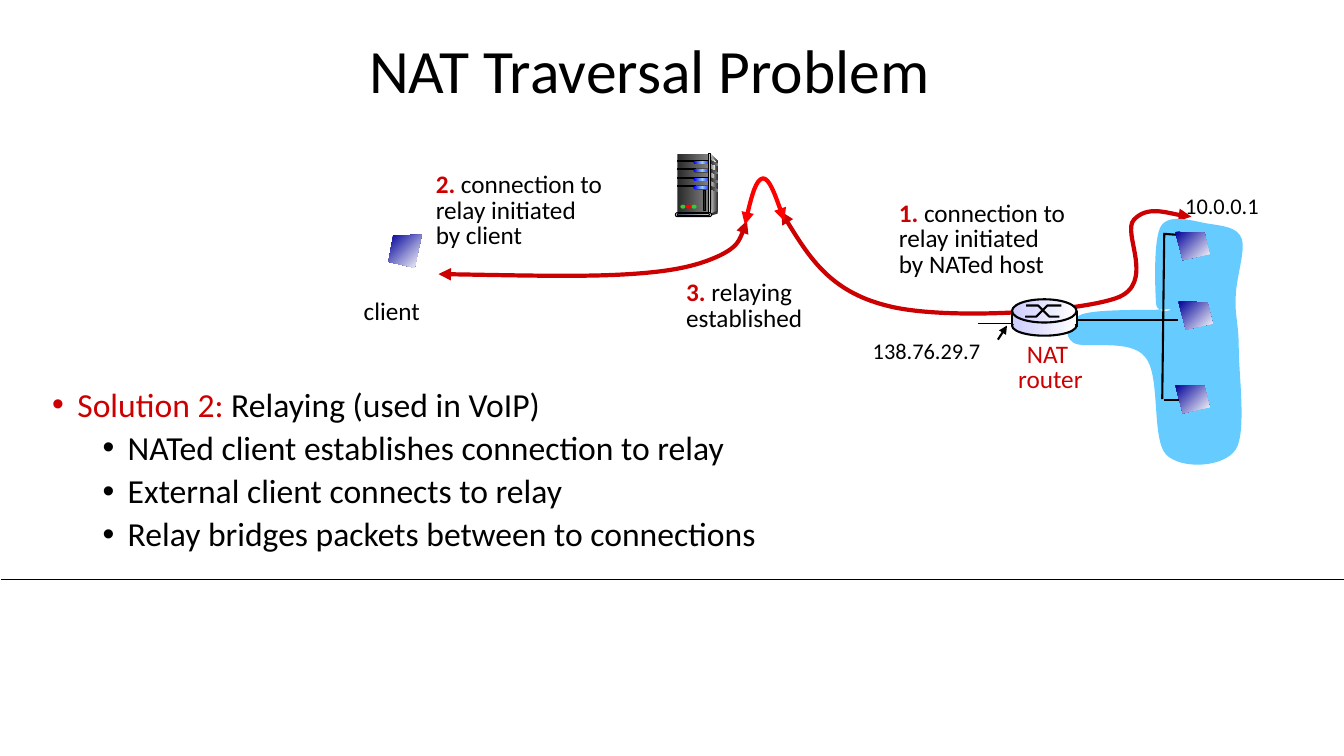
"""Builds the NAT traversal slide: relaying between a client and a NATed host."""
from copy import deepcopy
from dataclasses import dataclass

from lxml.etree import SubElement
from pptx import Presentation
from pptx.dml.color import RGBColor
from pptx.enum.shapes import MSO_CONNECTOR, MSO_SHAPE
from pptx.enum.text import MSO_ANCHOR, MSO_AUTO_SIZE, PP_ALIGN
from pptx.oxml.ns import qn
from pptx.util import Pt

BLACK, WHITE, CRIMSON, RED, GREEN, SKY, LILAC, NAVY = map(
    RGBColor.from_string, "000000 FFFFFF CC0000 FF0000 33CC33 66CCFF CCCCFF 000099".split())
BLUE, PALE_BLUE, COAL, DARK, GREY, SILVER, MIST, SLATE, ASH = map(
    RGBColor.from_string, "0000FF 99CCFF 292929 333333 808080 DDDDDD F8F8F8 44546A E7E6E6".split())
OVAL, PILL = MSO_SHAPE.OVAL, MSO_SHAPE.ROUNDED_RECTANGLE

Point = tuple[float, float]
Box = tuple[float, float, float, float]
Line = tuple[tuple[str, RGBColor, bool], ...]


@dataclass(frozen=True)
class Label:
    box: Box
    lines: tuple[Line, ...]
    size: float = 18
    spacing: float = 0.85
    wrap: bool = True
    align: PP_ALIGN = PP_ALIGN.LEFT


@dataclass(frozen=True)
class Wire:
    start: Point
    end: Point
    weight: float = 1.5
    arrow: bool = False


@dataclass(frozen=True)
class Part:
    box: Box
    fill: tuple[RGBColor, ...]
    kind: MSO_SHAPE = MSO_SHAPE.RECTANGLE
    weight: float = 0


def plain(text: str, color: RGBColor = BLACK) -> Line:
    return ((text, color, False),)


def step(number: str, text: str, *rest: str) -> tuple[Line, ...]:
    return (((number, CRIMSON, True), (text, BLACK, False)), *map(plain, rest))


def write(frame, lines: tuple[Line, ...], *, size: float, spacing: float = 1,
          align: PP_ALIGN = PP_ALIGN.LEFT, bullets: bool = False) -> None:
    for index, runs in enumerate(lines):
        paragraph = frame.add_paragraph() if index else frame.paragraphs[0]
        if bullets:
            paragraph.level = min(index, 1)
            properties = paragraph._p.get_or_add_pPr()
            properties.set("marL", str(Pt(54 if index else 18)))
            properties.set("indent", str(Pt(-18)))
            SubElement(properties, qn("a:buFont")).set("typeface", "Arial")
            SubElement(properties, qn("a:buChar")).set("char", "•")
        paragraph.alignment, paragraph.line_spacing = align, spacing
        paragraph.space_before = Pt(5 if bullets and index else 0)
        for text, color, bold in runs:
            run = paragraph.add_run()
            run.text = text
            run.font.name, run.font.size, run.font.bold = "Calibri", Pt(size), bold
            run.font.color.rgb = color


def add_label(shapes, label: Label, bullets: bool = False) -> None:
    frame = shapes.add_textbox(*map(Pt, label.box)).text_frame
    frame.word_wrap = label.wrap
    write(frame, label.lines, size=label.size, spacing=label.spacing, align=label.align, bullets=bullets)


def add_arrowheads(line, *ends: str) -> None:
    for end in ends:
        SubElement(line._get_or_add_ln(), qn(f"a:{end}")).set("type", "triangle")


def add_wire(shapes, wire: Wire) -> None:
    connector = shapes.add_connector(MSO_CONNECTOR.STRAIGHT, *map(Pt, wire.start + wire.end))
    connector.line.color.rgb, connector.line.width = BLACK, Pt(wire.weight)
    if wire.arrow:
        add_arrowheads(connector.line, "headEnd")
    SubElement(connector._element.spPr, qn("a:effectLst"))


def paint(shape, fill: tuple[RGBColor, ...], weight: float, color: RGBColor = BLACK, angle: float = 0) -> None:
    shape.shadow.inherit = False
    if not fill:
        shape.fill.background()
    elif len(fill) == 1:
        shape.fill.solid()
        shape.fill.fore_color.rgb = fill[0]
    else:
        shape.fill.gradient()
        shape.fill.gradient_angle = angle
        stop_list = shape._element.spPr.find(qn("a:gradFill")).find(qn("a:gsLst"))
        for _ in fill[2:]:
            stop_list.append(deepcopy(stop_list[0]))
        for index, stop in enumerate(shape.fill.gradient_stops):
            stop.color.rgb, stop.position = fill[index], index / (len(fill) - 1)
    if weight:
        shape.line.color.rgb, shape.line.width = color, Pt(weight)
    else:
        shape.line.fill.background()


def add_part(shapes, part: Part) -> None:
    shape = shapes.add_shape(part.kind, *map(Pt, part.box))
    if part.kind == PILL:
        shape.adjustments[0] = 0.5
    paint(shape, part.fill, part.weight)


def add_outline(shapes, points: tuple[Point, ...], fill: tuple[RGBColor, ...] = (), *, at: Point = (0, 0),
                weight: float = 0, color: RGBColor = BLACK, angle: float = 0, curved: bool = False):
    corners = [(Pt(at[0] + x), Pt(at[1] + y)) for x, y in points]
    builder = shapes.build_freeform(*corners[0])
    builder.add_line_segments(corners[1:], close=bool(fill))
    shape = builder.convert_to_shape()
    if curved:
        outline = next(shape._element.iter(qn("a:path")))
        segments = outline.findall(qn("a:lnTo"))
        for first in range(0, len(segments), 3):
            curve = outline.makeelement(qn("a:cubicBezTo"))
            segments[first].addprevious(curve)
            for segment in segments[first:first + 3]:
                curve.append(segment[0])
                outline.remove(segment)
    paint(shape, fill, weight, color, angle)
    return shape


SOLUTION = Label((30.2, 273.6, 604, 130), (
    (("Solution 2:", CRIMSON, False), (" Relaying (used in VoIP)", BLACK, False)),
    plain("NATed client establishes connection to relay"), plain("External client connects to relay"),
    plain("Relay bridges packets between to connections")), 24, 0.9)
LABELS = (
    Label((616.3, 237.6, 99.4, 26.6), (plain("138.76.29.7"),), 16, 1, False),
    Label((252.7, 207.4, 58.3, 28.8), (plain("client"),), 18, 1, False),
    Label((635, 140.4, 153.4, 62.6), step("1.", " connection to", "relay initiated", "by NATed host")),
    Label((304.2, 119.9, 153.4, 62.6), step("2.", " connection to", "relay initiated", "by client")),
    Label((483.1, 197.3, 153.4, 44), step("3.", " relaying", "established")),
    Label((718.6, 241.2, 63.4, 44.6), (plain("NAT ", CRIMSON), plain("router", CRIMSON)),
          wrap=False, align=PP_ALIGN.CENTER),
    Label((839.5, 133.9, 72.7, 26.6), (plain("10.0.0.1"),), 16, 1, False))
HOST_CURVE = (
    (851, 154.8), (844.6, 154.8), (819.4, 146.9), (810, 157), (801, 166.3), (826.6, 203), (797, 213.1),
    (767.5, 223.2), (672.5, 229), (632.9, 218.2), (593.3, 208.1), (575.3, 180), (558, 151.2))
CLIENT_CURVE = (
    (313.2, 195.8), (365, 196.6), (416.9, 198), (450, 195.8), (483.1, 193.7),
    (499, 189.4), (513.4, 182.9), (527, 176.4), (530.6, 167), (533.5, 157.7))
RELAY_CURVE = ((532.1, 160.6), (535.7, 144), (540, 128.2), (545, 127.4), (549.4, 127.4),
               (555.1, 142.6), (560.2, 157.7))
CLOUD = (
    (772.6, 224.6), (784.1, 220.3), (825.1, 221.8), (833.8, 221), (842.4, 219.6), (826.6, 226.8),
    (825.8, 216.7), (825.1, 206.6), (823.7, 170.6), (829.4, 161.3), (835.9, 151.9), (853.9, 158.4),
    (863.3, 159.8), (872.6, 161.3), (884.2, 162), (887, 170.6), (889.9, 179.3), (882.7, 199.4),
    (882.7, 212.4), (882, 225.4), (884.9, 231.1), (884.9, 249.1), (884.9, 267.1), (890.6, 308.9),
    (882.7, 321.1), (874.1, 334.1), (843.8, 335.5), (833, 324.7), (822.2, 313.2), (829.4, 267.8),
    (817.9, 254.9), (807.1, 241.2), (774, 249.8), (766.8, 244.8), (758.9, 239.8), (762.5, 229), (772.6, 224.6))
BACK_WIRES = (
    Wire((0.7, 414), (960, 414), 0.5), Wire((719.3, 232.6), (712.8, 242.6), arrow=True),
    Wire((831.6, 167.8), (830.2, 285.1)), Wire((830.9, 167), (841.7, 167.8)),
    Wire((831.6, 285.8), (844.6, 285.8)), Wire((698.4, 231.1), (730.1, 231.1), 0.75))
FRONT_WIRES = (Wire((722.9, 221.8), (722.9, 232.6)), Wire((769, 222.5), (769, 233.3)),
               Wire((769, 228.5), (841.7, 228.5)))
ROUTER = (Part((722.9, 225.4, 46.1, 14.4), (LILAC, WHITE), OVAL, 1.5),
          Part((722.9, 223.2, 46.1, 8.6), (LILAC, WHITE)),
          Part((722.9, 213.8, 46.1, 16.6), (LILAC, WHITE), OVAL, 1.5))
ROUTER_CROSS = (((732.2, 226.1), (740.2, 226.1), (748.1, 218.2), (758.2, 218.2)),
                ((733, 218.2), (741.6, 218.2), (749.5, 226.1), (756.7, 226.1)))
HOST_SCREEN = ((0, 0), (20.9, 0.7), (24.5, 15.8), (5.4, 20.2))
HOSTS = ((841.7, 215.3), (839.5, 275), (839.5, 165.6))
CLIENT_SCREEN = ((301.3, 167.6), (280.9, 168.3), (277.5, 187), (296.2, 191.3))
SERVER_SIDE = ((507.6, 110.2), (512.6, 115.2), (512.6, 150.5), (506.9, 152.6))
SERVER_SHEEN = ((507.6, 112.3), (507.6, 112.3), (509, 113), (511.2, 115.9),
                (507.6, 131.8), (508.3, 151.9), (507.6, 151.2))
SERVER_FOOT = ((507.6, 152.6), (507.6, 154.1), (512.6, 152.6), (512.6, 150.5))
SIDE_VENT = ((0, 0), (5.4, 2.6), (5.4, 4), (0, 2.2))
SERVER_TRIM = (
    Part((506.2, 109.8, 1.4, 42.8), (DARK, SILVER, DARK), weight=0.75),
    Part((511.9, 150.5, 0.7, 1.4), (DARK,), OVAL), Part((482.4, 151.9, 25.9, 2.9), (SILVER,), PILL, 0.75),
    Part((483.8, 152.6, 23, 1.4), (SLATE, ASH), PILL, 0.75), Part((502.6, 136.1, 1.4, 14.4), (COAL,), weight=0.75),
    *(Part((486 + 4 * i, 146.2, 3.6, 2.9), (light,), OVAL) for i, light in enumerate((GREEN, RED, GREEN))))

deck = Presentation()
deck.slide_width, deck.slide_height = Pt(960), Pt(540)
canvas = deck.slides.add_slide(deck.slide_layouts[5]).shapes
title = canvas.title
title.left, title.top, title.width, title.height = map(Pt, (56.2, 18, 815.8, 69.1))
title.text_frame.auto_size, title.text_frame.vertical_anchor = MSO_AUTO_SIZE.NONE, MSO_ANCHOR.MIDDLE
write(title.text_frame, (plain("NAT Traversal Problem"),), size=44, spacing=0.9, align=PP_ALIGN.CENTER)
add_label(canvas, SOLUTION, bullets=True)
for route, tint in ((HOST_CURVE, CRIMSON), (CLIENT_CURVE, CRIMSON), (RELAY_CURVE, RED)):
    add_arrowheads(add_outline(canvas, route, weight=3, color=tint, curved=True).line, "headEnd", "tailEnd")
add_outline(canvas, CLOUD, (SKY,), curved=True)
for draw, items in ((add_wire, BACK_WIRES), (add_part, ROUTER), (add_wire, FRONT_WIRES), (add_label, LABELS)):
    for item in items:
        draw(canvas, item)
for stroke in ROUTER_CROSS:
    add_outline(canvas, stroke, weight=1.5)
for screen, place in (*((HOST_SCREEN, host) for host in HOSTS), (CLIENT_SCREEN, (0, 0))):
    add_outline(canvas, screen, (NAVY, WHITE), at=place, angle=315)
add_outline(canvas, SERVER_SIDE, (SILVER, DARK))
add_part(canvas, Part((483.8, 109.8, 22.3, 42.1), (COAL, GREY)))
add_outline(canvas, SERVER_SHEEN, (GREY, MIST), curved=True)
for row_top in (114.5 + 6.1 * row for row in range(4)):
    add_part(canvas, Part((483.8, row_top, 13, 0.7), (BLACK,), weight=0.75))
    add_part(canvas, Part((495.4, row_top - 0.2, 12.2, 2.7), (BLACK,), PILL))
    add_part(canvas, Part((495.7, row_top + 0.2, 12, 2.2), (BLUE, PALE_BLUE, BLUE), PILL))
    add_outline(canvas, SIDE_VENT, (COAL, GREY), at=(507.2, row_top))
add_outline(canvas, SERVER_FOOT, (DARK,))
for trim in SERVER_TRIM:
    add_part(canvas, trim)
deck.save("out.pptx")
